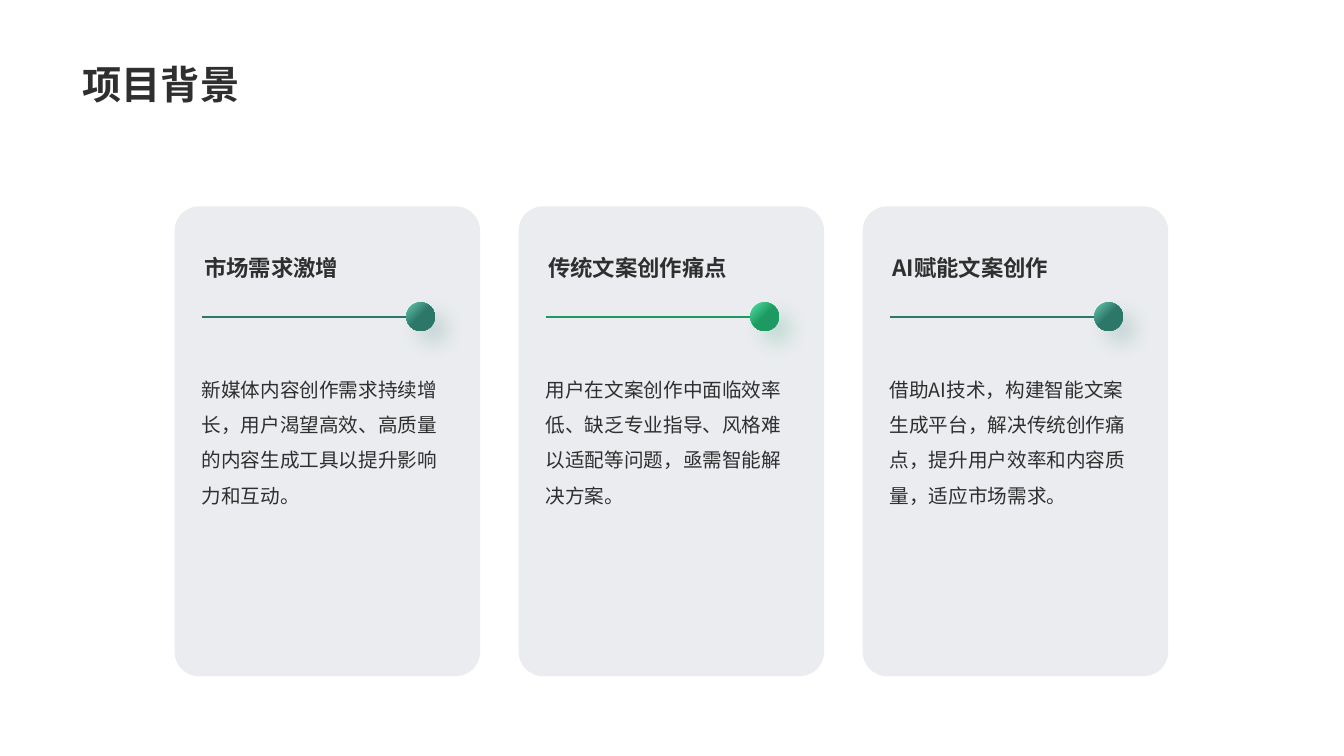
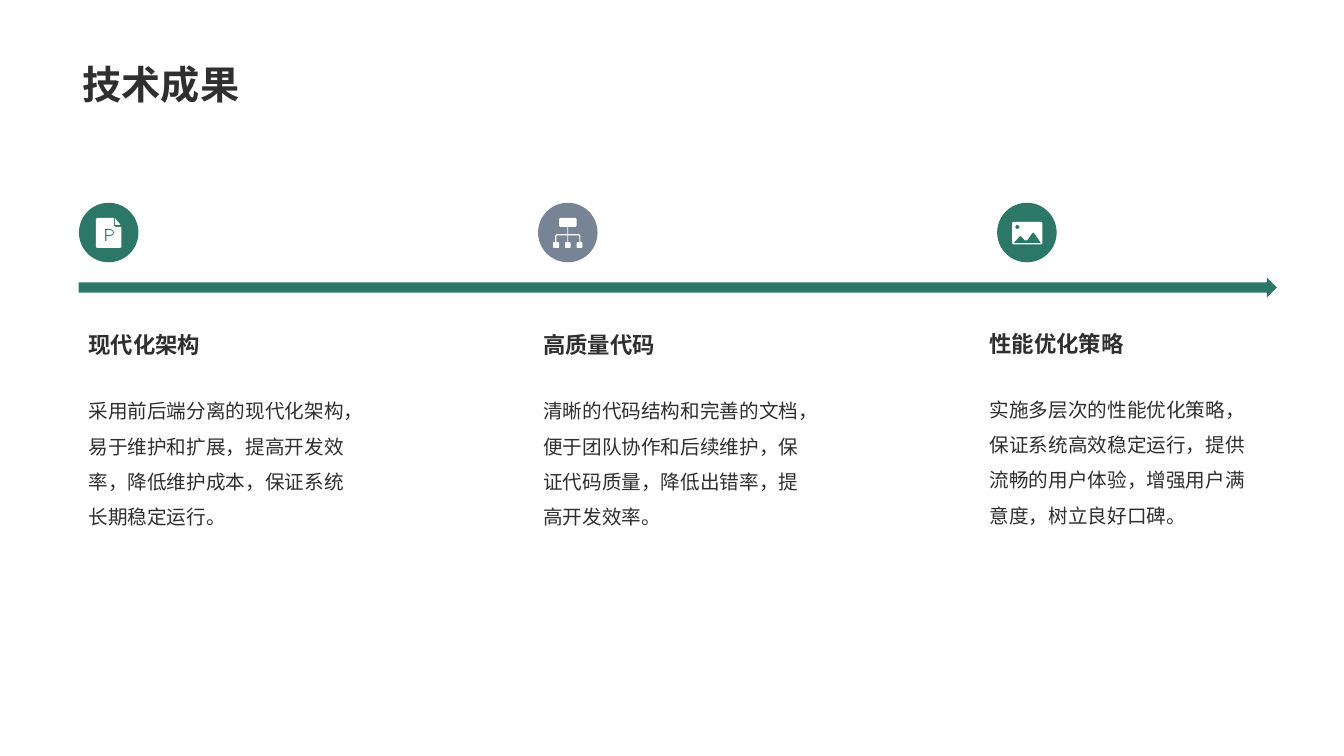
from lxml import etree
from pptx import Presentation
from pptx.dml.color import RGBColor
from pptx.enum import shapes, text
from pptx.oxml import ns
from pptx.util import Cm, Pt

FONT = "Noto Sans CJK SC"
INK = RGBColor(0x2F, 0x2F, 0x2F)
WHITE = RGBColor(0xFF, 0xFF, 0xFF)
TEAL = RGBColor(0x2C, 0x77, 0x67)
LIGHT_TEAL = RGBColor(0x67, 0xC7, 0xB2)
GREEN = RGBColor(0x1C, 0x9A, 0x62)
LIGHT_GREEN = RGBColor(0x58, 0xE1, 0xA4)
SLATE = RGBColor(0x77, 0x84, 0x95)

TITLE = {"size": Pt(28), "bold": True}
HEADING = {"size": Pt(16), "bold": True}
BODY = {"size": Pt(14), "bold": False}
GROW = text.MSO_AUTO_SIZE.SHAPE_TO_FIT_TEXT
BOTTOM = text.MSO_ANCHOR.BOTTOM


def write_text(shape, words, font_format, line_spacing=1.0, **frame_format):
    frame = shape.text_frame
    for name, value in {"word_wrap": True, "auto_size": GROW, **frame_format}.items():
        setattr(frame, name, value)
    paragraph = frame.paragraphs[0]
    paragraph.alignment = text.PP_ALIGN.LEFT
    paragraph.line_spacing = line_spacing
    run = paragraph.add_run()
    run.text = words
    for name, value in {"name": FONT, **font_format}.items():
        setattr(run.font, name, value)
    run.font.color.rgb = INK
    east_asian = etree.SubElement(run.font._element, ns.qn("a:ea"))
    east_asian.set("typeface", FONT)


def paint(shape, color):
    shape.shadow.inherit = False
    shape.fill.solid()
    shape.fill.fore_color.rgb = color
    shape.line.fill.background()


presentation = Presentation()
presentation.slide_width = Cm(33.87)
presentation.slide_height = Cm(19.05)

slides = []
for title in ("项目背景", "技术成果"):
    slide = presentation.slides.add_slide(presentation.slide_layouts[5])
    placeholder = slide.shapes.title
    box = {"left": Cm(1.83), "top": Cm(0), "width": Cm(30.18), "height": Cm(2.84)}
    for name, value in box.items():
        setattr(placeholder, name, value)
    write_text(placeholder, title, TITLE, 0.9, vertical_anchor=BOTTOM,
               auto_size=text.MSO_AUTO_SIZE.NONE)
    slides.append(slide)
background_slide, results_slide = slides

cards = [
    ("市场需求激增", "新媒体内容创作需求持续增长，用户渴望高效、高质量的内容生成工具以提升影响力和互动。", TEAL, LIGHT_TEAL),
    ("传统文案创作痛点", "用户在文案创作中面临效率低、缺乏专业指导、风格难以适配等问题，亟需智能解决方案。", GREEN, LIGHT_GREEN),
    ("AI赋能文案创作", "借助AI技术，构建智能文案生成平台，解决传统创作痛点，提升用户效率和内容质量，适应市场需求。", TEAL, LIGHT_TEAL),
]
for index, (heading, body, color, light_color) in enumerate(cards):
    left = 4.4 + index * 8.67
    canvas = background_slide.shapes

    card = canvas.add_shape(shapes.MSO_SHAPE.ROUNDED_RECTANGLE,
                            Cm(left), Cm(5.2), Cm(7.7), Cm(11.84))
    card.adjustments[0] = 0.08
    paint(card, SLATE)
    card_color = card._element.spPr.find(".//" + ns.qn("a:srgbClr"))
    etree.SubElement(card_color, ns.qn("a:alpha")).set("val", "15000")

    rule = canvas.add_connector(shapes.MSO_CONNECTOR.STRAIGHT,
                                Cm(left + 0.68), Cm(7.98), Cm(left + 5.86), Cm(7.98))
    rule.line.color.rgb = color
    rule.line.width = Pt(1.5)
    etree.SubElement(rule._element.spPr, ns.qn("a:effectLst"))

    ball = canvas.add_shape(shapes.MSO_SHAPE.OVAL,
                            Cm(left + 5.84), Cm(7.62), Cm(0.72), Cm(0.72))
    paint(ball, color)
    ball.fill.gradient()
    ball.fill.gradient_angle = 315
    for stop, position, stop_color in zip(ball.fill.gradient_stops, (0, 0.5), (light_color, color)):
        stop.position = position
        stop.color.rgb = stop_color
    effects = ball._element.spPr.find(ns.qn("a:effectLst"))
    shadow = etree.SubElement(effects, ns.qn("a:outerShdw"))
    for name, value in {"blurRad": Pt(14), "dist": Pt(12), "dir": 45 * 60000,
                        "algn": "ctr", "rotWithShape": 0}.items():
        shadow.set(name, str(value))
    shadow_color = etree.SubElement(shadow, ns.qn("a:srgbClr"))
    shadow_color.set("val", str(color))
    etree.SubElement(shadow_color, ns.qn("a:alpha")).set("val", "20000")

    heading_box = canvas.add_textbox(Cm(left + 0.5), Cm(6.27), Cm(6.35), Cm(0.94))
    write_text(heading_box, heading, HEADING, vertical_anchor=BOTTOM)
    body_box = canvas.add_textbox(Cm(left + 0.68), Cm(9.1), Cm(6.17), Cm(3.28))
    write_text(body_box, body, BODY, 1.5, margin_left=0, margin_right=0)

document_icon = [
    [(43, 41), (46, 38), (89, 38), (89, 58), (92, 61), (107, 61), (107, 111), (104, 114), (46, 114), (43, 111)],
    [(66, 66), (79, 66), (86, 69), (89, 75), (86, 81), (79, 84), (69, 84), (69, 97), (66, 97)],
    [(69, 69), (79, 69), (84, 71), (86, 75), (84, 79), (79, 81), (69, 81)],
    [(91, 39), (105, 56), (91, 56)],
]
tree_half = [
    (94, 38), (97, 41), (97, 58), (94, 61), (76, 61), (76, 79), (103, 79), (107, 83), (107, 99),
    (110, 99), (112, 101), (112, 112), (110, 114), (99, 114), (97, 112), (97, 101), (99, 99),
    (104, 99), (104, 84), (102, 82), (76, 82), (76, 99), (80, 99), (82, 101), (82, 112), (80, 114),
]
tree_icon = [tree_half + [(150 - x, y) for x, y in reversed(tree_half)]]
landscape_icon = [
    [(41, 48), (111, 48), (114, 51), (114, 102), (111, 105), (41, 105), (38, 102), (38, 51)],
    [(41, 102), (56, 85), (58, 84), (61, 85), (69, 94), (72, 95), (76, 94), (88, 77), (91, 75), (94, 77), (109, 99), (109, 102)],
    [(46, 59), (49, 56), (53, 56), (56, 59), (56, 63), (53, 66), (49, 66), (46, 63)],
]

canvas = results_slide.shapes
arrow = canvas.add_shape(shapes.MSO_SHAPE.RIGHT_ARROW, Cm(1.98), Cm(6.99), Cm(30.2), Cm(0.51))
paint(arrow, TEAL)

results = [
    ("现代化架构", "采用前后端分离的现代化架构，易于维护和扩展，提高开发效率，降低维护成本，保证系统长期稳定运行。", TEAL, document_icon, 1.98, 8.23),
    ("高质量代码", "清晰的代码结构和完善的文档，便于团队协作和后续维护，保证代码质量，降低出错率，提高开发效率。", SLATE, tree_icon, 13.44, 8.23),
    ("性能优化策略", "实施多层次的性能优化策略，保证系统高效稳定运行，提供流畅的用户体验，增强用户满意度，树立良好口碑。", TEAL, landscape_icon, 24.69, 8.19),
]
for index, (heading, body, color, outlines, text_left, text_top) in enumerate(results):
    badge_left, badge_top = Cm(1.99 + index * 11.57), Cm(5.11)
    badge = canvas.add_shape(shapes.MSO_SHAPE.OVAL, badge_left, badge_top, Cm(1.5), Cm(1.5))
    paint(badge, color)

    builder = canvas.build_freeform(*outlines[0][0], scale=Cm(0.01))
    builder.add_line_segments(outlines[0][1:])
    for outline in outlines[1:]:
        builder.move_to(*outline[0])
        builder.add_line_segments(outline[1:])
    paint(builder.convert_to_shape(badge_left, badge_top), WHITE)

    heading_box = canvas.add_textbox(Cm(text_left), Cm(text_top), Cm(7.32), Cm(0.94))
    write_text(heading_box, heading, HEADING)
    body_box = canvas.add_textbox(Cm(text_left), Cm(text_top + 1.41), Cm(7.32), Cm(5.54))
    write_text(body_box, body, BODY, 1.5)

presentation.save("out.pptx")
